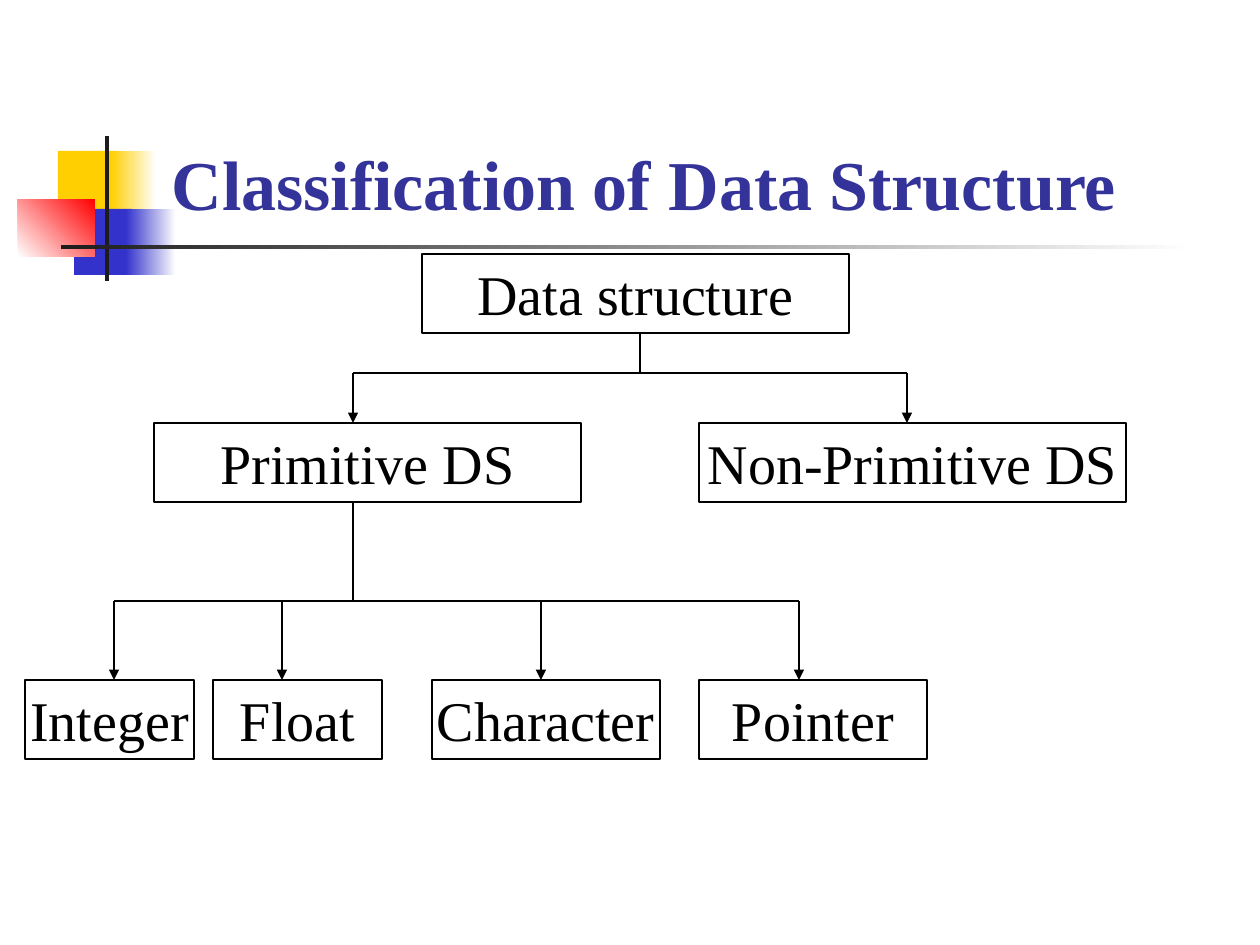
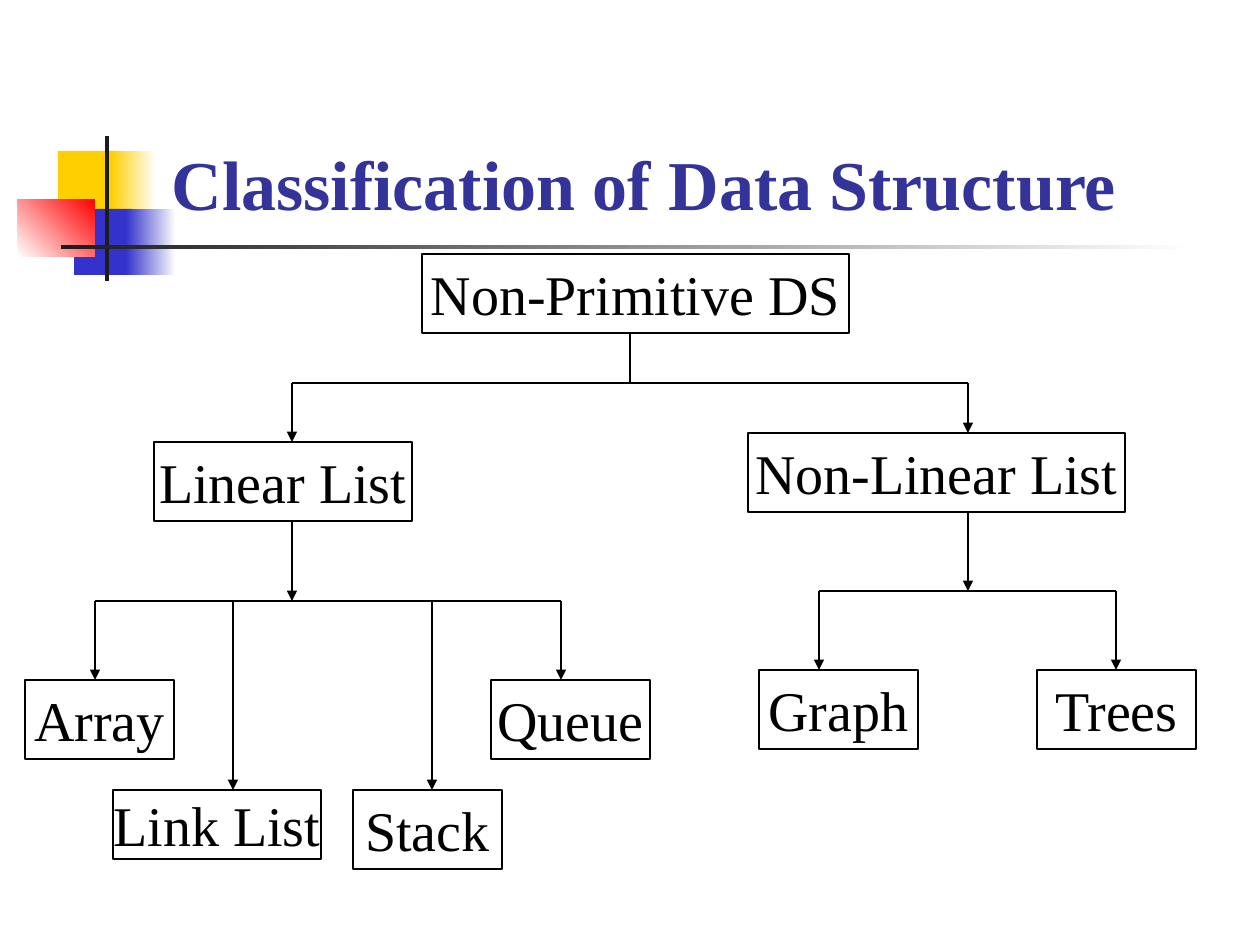
import pptx
import pptx.util
import pptx.dml.color
import pptx.enum.shapes
import pptx.enum.text
import pptx.oxml.ns
import pptx.oxml.xmlchemy

UNIT = 914400 / 126
FONT = "Times New Roman"
HEX = {
    "white": "FFFFFF",
    "black": "000000",
    "ink": "1C1C1C",
    "gold": "FFCF01",
    "blue": "3333CC",
    "red": "FF0000",
    "title": "333399",
}
TITLE = "Classification of Data Structure"
HEAD = (159, 29, 1073, 202)
BAND = (18, 136, 1190, 145)
TREE = (25, 254, 1171, 616)
HIGH = 79
ART = [
    (40, 15, 60, 66, ["gold"], 0),
    (93, 15, 45, 66, ["gold", "white"], 0),
    (56, 73, 58, 66, ["blue"], 0),
    (108, 73, 50, 66, ["blue", "white"], 0),
    (0, 63, 77, 58, ["white", "red"], 45),
    (87, 0, 4, 145, ["ink"], 0),
    (43, 109, 1134, 4, ["ink", "white"], 0),
]


def px(num):
    return pptx.util.Emu(round(num * UNIT))


def rgb(name):
    return pptx.dml.color.RGBColor.from_string(HEX[name])


def style(frame, text, size, tone, align, bold=False):
    frame.text = text
    line = frame.paragraphs[0]
    line.alignment = align
    font = line.runs[0].font
    font.name = FONT
    font.size = pptx.util.Pt(size)
    font.bold = bold
    font.color.rgb = rgb(tone)


def rect(slide, box, x, y, w, h, tones, angle=0):
    kind = pptx.enum.shapes.MSO_SHAPE.RECTANGLE
    shape = slide.shapes.add_shape(kind, px(box[0] + x), px(box[1] + y), px(w), px(h))
    shape.shadow.inherit = False
    shape.line.fill.background()
    if len(tones) == 1:
        shape.fill.solid()
        shape.fill.fore_color.rgb = rgb(tones[0])
    else:
        shape.fill.gradient()
        shape.fill.gradient_angle = angle
        for stop, tone in zip(shape.fill.gradient_stops, tones):
            stop.color.rgb = rgb(tone)
    return shape


def band(slide, box):
    for part in ART:
        rect(slide, box, *part)


def head(slide, box):
    shape = slide.shapes.title
    shape.left, shape.top, shape.width, shape.height = map(px, box)
    frame = shape.text_frame
    frame.word_wrap = True
    frame.auto_size = pptx.enum.text.MSO_AUTO_SIZE.NONE
    frame.vertical_anchor = pptx.enum.text.MSO_ANCHOR.BOTTOM
    style(frame, TITLE, 40, "title", pptx.enum.text.PP_ALIGN.LEFT, True)


def node(slide, box, text, x, y, w, h=HIGH):
    shape = rect(slide, box, x, y, w, h, ["white"])
    shape.line.color.rgb = rgb("black")
    shape.line.width = pptx.util.Pt(0.75)
    frame = shape.text_frame
    frame.word_wrap = False
    frame.vertical_anchor = pptx.enum.text.MSO_ANCHOR.MIDDLE
    style(frame, text, 32, "black", pptx.enum.text.PP_ALIGN.CENTER)


def wire(slide, box, x1, y1, x2, y2, tip=False):
    left, top = box[:2]
    kind = pptx.enum.shapes.MSO_CONNECTOR.STRAIGHT
    link = slide.shapes.add_connector(
        kind, px(left + x1), px(top + y1), px(left + x2), px(top + y2))
    link.line.color.rgb = rgb("black")
    link.line.width = pptx.util.Pt(0.75)
    props = link.element.spPr
    make = pptx.oxml.xmlchemy.OxmlElement
    if tip:
        end = make("a:tailEnd")
        end.set("type", "triangle")
        props.find(pptx.oxml.ns.qn("a:ln")).append(end)
    props.append(make("a:effectLst"))


def fork(slide, box, stem, top, rail, kids, tip=False):
    wire(slide, box, stem, top, stem, rail, tip)
    drops = [kid[0] for kid in kids]
    wire(slide, box, min(drops), rail, max(drops), rail)
    for drop, *spot in kids:
        wire(slide, box, drop, rail, drop, spot[2], True)
        node(slide, box, *spot)


def tree(slide, box, root, forks):
    node(slide, box, root, 397, 0, 427)
    for item in forks:
        fork(slide, box, *item)


BASIC = [
    (615, HIGH, 119, [
        (328, "Primitive DS", 129, 169, 427),
        (882, "Non-Primitive DS", 674, 169, 427),
    ]),
    (328, 169 + HIGH, 347, [
        (89, "Integer", 0, 426, 169),
        (257, "Float", 188, 426, 169),
        (516, "Character", 407, 426, 228),
        (774, "Pointer", 674, 426, 228),
    ]),
]
LISTS = [
    (605, HIGH, 129, [
        (267, "Linear List", 129, 188, 258),
        (943, "Non-Linear List", 723, 179, 377),
    ]),
    (267, 188 + HIGH, 347, [
        (70, "Array", 0, 426, 149),
        (208, "Link List", 88, 536, 208, 69),
        (407, "Stack", 328, 536, 149),
        (536, "Queue", 466, 426, 159),
    ], True),
    (943, 179 + HIGH, 337, [
        (794, "Graph", 734, 416, 159),
        (1091, "Trees", 1012, 416, 159),
    ], True),
]


def main():
    deck = pptx.Presentation()
    deck.slide_width, deck.slide_height = px(1260), px(945)
    for root, forks in [("Data structure", BASIC), ("Non-Primitive DS", LISTS)]:
        slide = deck.slides.add_slide(deck.slide_layouts[5])
        band(slide, BAND)
        head(slide, HEAD)
        tree(slide, TREE, root, forks)
    deck.save("out.pptx")


if __name__ == "__main__":
    main()
